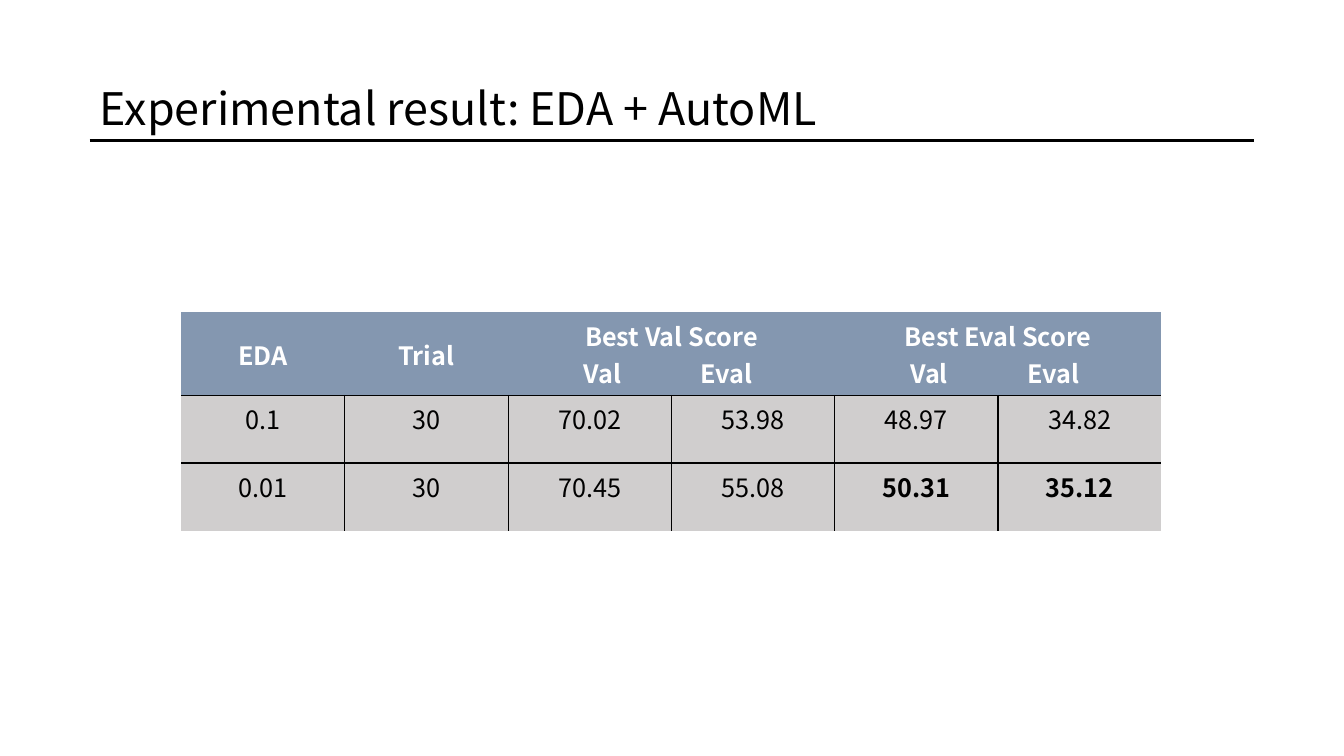
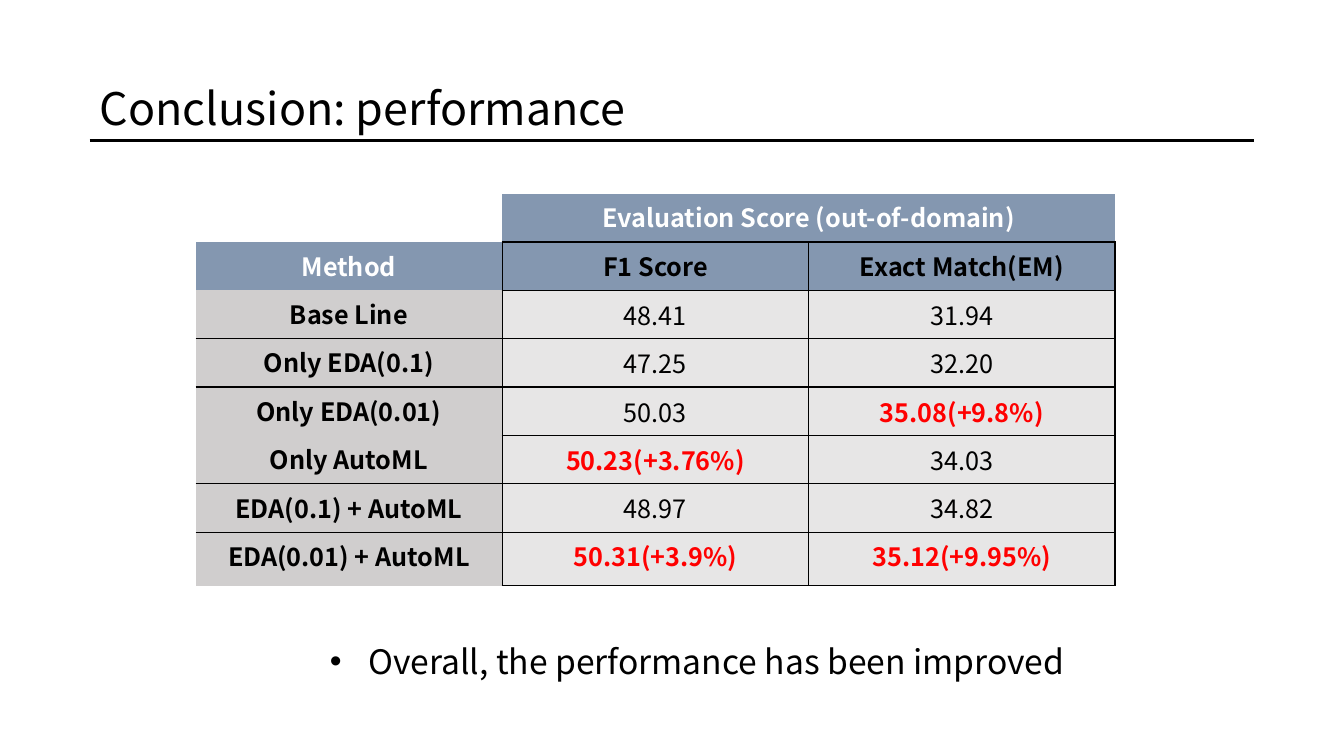
from pptx import Presentation
from pptx.dml.color import RGBColor as Rgb
from pptx.enum.shapes import MSO_CONNECTOR as Conn
from pptx.enum.text import MSO_ANCHOR as Anchor, MSO_AUTO_SIZE as Fit, PP_ALIGN as Align
from pptx.oxml import parse_xml
from pptx.oxml.ns import nsdecls, qn
from pptx.util import Inches, Pt

# Shared look
FONT = "Noto Sans CJK KR"
WIDE, HIGH = 13.33, 7.5
LEFT, RULE = 0.89, 1.39
BLACK, WHITE, RED = "000000", "FFFFFF", "FF0000"
BLUE, GREY, PALE = "8497B0", "D0CECE", "E7E6E6"
PLAIN = "{2D5ABB26-0587-4C30-8999-92F81FD0307C}"
SIDES = "LRTB"
HEAD = dict(size=18, bold=True, color=WHITE)
BODY = dict(size=18, bold=False, color=BLACK)
NAME = dict(BODY, bold=True)

# Table texts; a leading star marks a best score
SCORES = [
    ["0.1", "30", "70.02", "53.98", "48.97", "34.82"],
    ["0.01", "30", "70.45", "55.08", "*50.31", "*35.12"],
]
METHODS = [
    ["Base Line", "48.41", "31.94"],
    ["Only EDA(0.1)", "47.25", "32.20"],
    ["Only EDA(0.01)", "50.03", "*35.08(+9.8%)"],
    ["Only AutoML", "*50.23(+3.76%)", "34.03"],
    ["EDA(0.1) + AutoML", "48.97", "34.82"],
    ["EDA(0.01) + AutoML", "*50.31(+3.9%)", "*35.12(+9.95%)"],
]


def paint(part, color):
    """Give a fill or line format one solid colour."""
    part.solid()
    part.fore_color.rgb = Rgb.from_string(color)


def style(para, size, color=BLACK, bold=False, **more):
    """Format a paragraph and its runs."""
    for key, val in more.items():
        setattr(para, key, val)
    for run in para.runs:
        for key, val in dict(name=FONT, size=Pt(size), bold=bold).items():
            setattr(run.font, key, val)
        paint(run.font.fill, color)


def add_title(slide, text):
    """Title text above a full-width rule."""
    title = slide.shapes.title
    place = dict(left=LEFT, top=0.43, width=10.32, height=RULE - 0.43)
    for key, val in place.items():
        setattr(title, key, Inches(val))
    frame = title.text_frame
    frame.text = text
    frame.auto_size = Fit.NONE
    frame.vertical_anchor = Anchor.BOTTOM
    style(frame.paragraphs[0], 32, alignment=Align.LEFT, line_spacing=0.9)
    rule = slide.shapes.add_connector(
        Conn.STRAIGHT, Inches(LEFT), Inches(RULE), Inches(WIDE - LEFT), Inches(RULE))
    paint(rule.line.fill, BLACK)
    rule.line.width = Pt(2.25)
    rule._element.spPr.append(parse_xml(f"<a:effectLst {nsdecls('a')}/>"))


def add_grid(slide, left, top, col, cols, rows):
    """Unstyled table with equal columns and listed row heights."""
    table = slide.shapes.add_table(
        len(rows), cols, Inches(left), Inches(top),
        Inches(col * cols), Inches(sum(rows))).table
    table._tbl.tblPr.find(qn("a:tableStyleId")).text = PLAIN
    for item in table.columns:
        item.width = Inches(col)
    for item, size in zip(table.rows, rows):
        item.height = Inches(size)
    return table


def set_cell(cell, text, fill, look, edges="", mid=False):
    """Text, fill and black borders on the named sides."""
    cell.text = text
    cell.vertical_anchor = Anchor.MIDDLE if mid else Anchor.TOP
    for para in cell.text_frame.paragraphs:
        style(para, alignment=Align.CENTER, **look)
    paint(cell.fill, fill)
    props = cell._tc.get_or_add_tcPr()
    for spot, side in enumerate(s for s in SIDES if s in edges):
        props.insert(spot, parse_xml(
            f'<a:ln{side} {nsdecls("a")} w="12700"><a:solidFill>'
            f'<a:srgbClr val="{BLACK}"/></a:solidFill></a:ln{side}>'))


def set_value(cell, text, fill, edges, color, mid=False):
    """Score cell; starred text turns bold in the given colour."""
    look = dict(BODY, bold=True, color=color) if text[0] == "*" else BODY
    set_cell(cell, text.lstrip("*"), fill, look, edges, mid)


def set_tabs(para, *stops):
    """Left-align a paragraph on tab stops."""
    para.alignment = Align.LEFT
    tabs = "".join(f'<a:tab pos="{Inches(s)}" algn="l"/>' for s in stops)
    para._p.get_or_add_pPr().append(
        parse_xml(f"<a:tabLst {nsdecls('a')}>{tabs}</a:tabLst>"))


def add_bullet(slide, text, left, top, width, height):
    """Centred bullet line."""
    box = slide.shapes.add_textbox(*map(Inches, (left, top, width, height)))
    frame = box.text_frame
    frame.word_wrap = True
    frame.text = text
    para = frame.paragraphs[0]
    style(para, 24, alignment=Align.CENTER, line_spacing=1.5, level=1)
    props = para._p.get_or_add_pPr()
    for key, val in dict(marL=0.88, indent=-0.38).items():
        props.set(key, str(Inches(val)))
    for tag in ('buFont typeface="Arial"', 'buChar char="•"'):
        props.append(parse_xml(f"<a:{tag} {nsdecls('a')}/>"))


def draw_scores(slide):
    add_title(slide, "Experimental result: EDA + AutoML")
    table = add_grid(slide, 1.8, 3.1, 1.62, 6, [0.67] * 3)
    # Header
    for col in range(6):
        set_cell(table.cell(0, col), "", BLUE, HEAD, "B")
    for col, text in enumerate(["EDA", "Trial"]):
        set_cell(table.cell(0, col), text, BLUE, HEAD, mid=True)
    for col, text in zip((2, 4), ("Best Val Score", "Best Eval Score")):
        cell = table.cell(0, col)
        cell.merge(table.cell(0, col + 1))
        set_cell(cell, f"{text}\n\tVal\tEval", BLUE, HEAD)
        set_tabs(cell.text_frame.paragraphs[1], 0.65, 1.81)
    # Scores, with inner borders only
    for row, texts in enumerate(SCORES, 1):
        for col, text in enumerate(texts):
            edges = "T" + "L" * (col > 0) + "R" * (col < 5) + "B" * (row < 2)
            set_value(table.cell(row, col), text, GREY, edges, BLACK)


def draw_summary(slide):
    add_title(slide, "Conclusion: performance")
    table = add_grid(slide, 1.94, 1.92, 3.04, 3, [0.48] * 7 + [0.53])
    # Header
    set_cell(table.cell(0, 0), "", WHITE, HEAD)
    table.cell(0, 1).merge(table.cell(0, 2))
    for col, text in enumerate(["Evaluation Score (out-of-domain)", ""], 1):
        set_cell(table.cell(0, col), text, BLUE, HEAD, "B")
    set_cell(table.cell(1, 0), "Method", BLUE, HEAD, "R")
    for col, text in enumerate(["F1 Score", "Exact Match(EM)"], 1):
        set_cell(table.cell(1, col), text, BLUE, NAME, SIDES)
    # Methods, with a line under each group
    for row, (name, *values) in enumerate(METHODS, 2):
        edges = "R" + "B" * (row in (2, 5)) + "T" * (row in (3, 6))
        set_cell(table.cell(row, 0), name, GREY, NAME, edges)
        for col, text in enumerate(values, 1):
            set_value(table.cell(row, col), text, PALE, SIDES, RED, mid=row < 6)
    add_bullet(slide, "Overall, the performance has been improved",
               1.1, 6.11, 11.13, 0.63)


def main():
    deck = Presentation()
    deck.slide_width, deck.slide_height = Inches(WIDE), Inches(HIGH)
    for draw in (draw_scores, draw_summary):
        draw(deck.slides.add_slide(deck.slide_layouts[5]))
    deck.save("out.pptx")


main()
